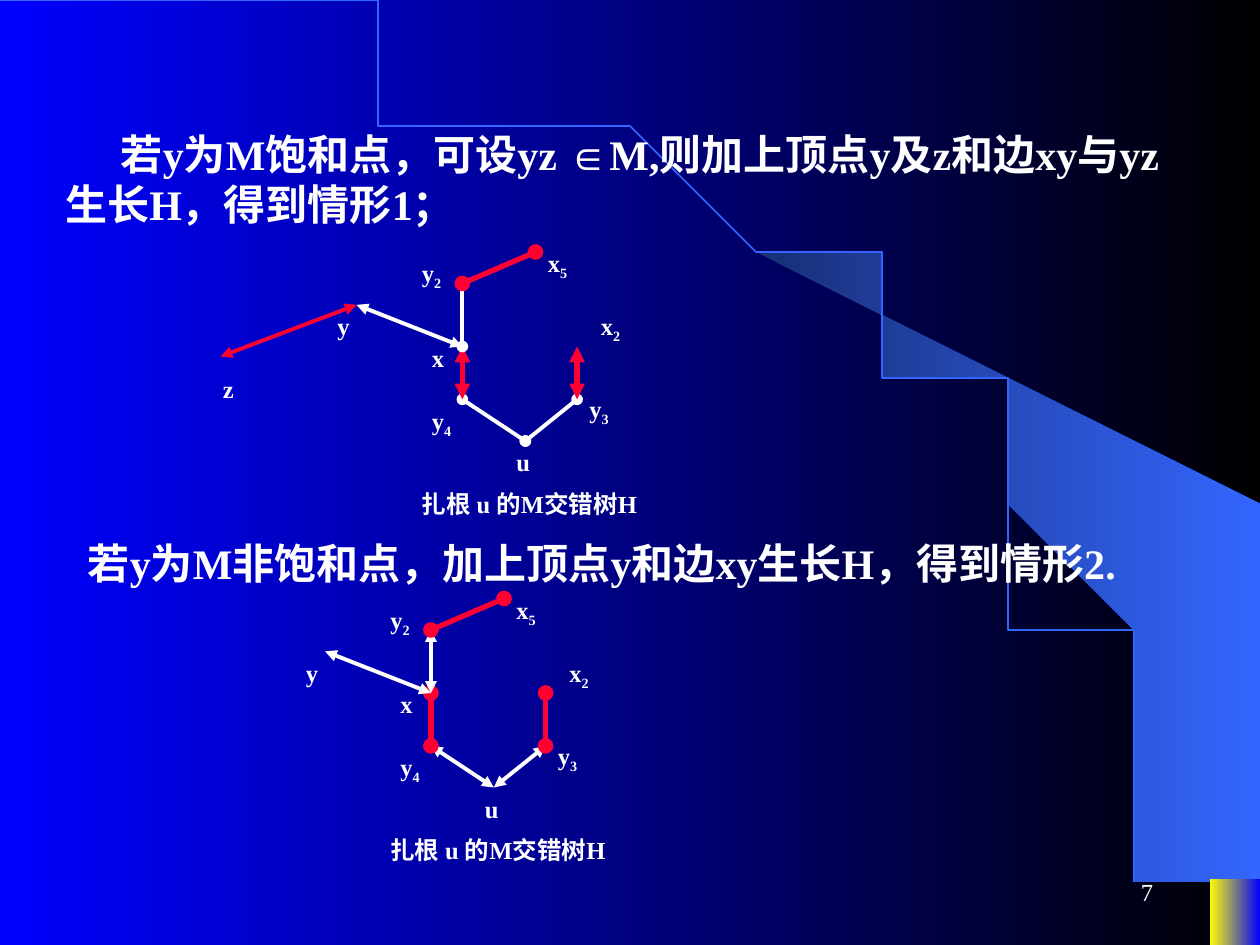
from pptx import Presentation
from pptx import util as u
from pptx.dml.color import RGBColor
from pptx.enum import shapes, text
from pptx.oxml import ns
from lxml import etree

WHITE = RGBColor(0xFF, 0xFF, 0xFF)
RED = RGBColor(0xFF, 0x00, 0x33)
BLUE = RGBColor(0x00, 0x00, 0xFF)
BLACK = RGBColor(0x00, 0x00, 0x00)
YELLOW = RGBColor(0xFF, 0xFF, 0x00)
NAVY = RGBColor(0x18, 0x2F, 0x76)
SKY = RGBColor(0x33, 0x66, 0xFF)
FONT = "Times New Roman"

STATEMENTS = [
    (0.42, 0.97, 0.44, "若y为M饱和点，可设yz ∈M,则加上顶点y及z和边xy与yz生长H，得到情形1；"),
    (0.25, 4.22, 0.35, "若y为M非饱和点，加上顶点y和边xy生长H，得到情形2."),
]
CAPTION = "扎根 u 的M交错树H"

VERTICES = {
    "u": (4.17, 3.5), "y4": (3.67, 3.17), "x": (3.67, 2.75), "y2": (3.67, 2.25),
    "y3": (4.58, 3.17), "x2": (4.58, 2.75), "x5": (4.25, 2), "y": (2.83, 2.42),
    "z": (1.75, 2.83),
}
LABELS = {
    "u": (4, 3.5), "y4": (3.33, 3.17), "x": (3.33, 2.67), "y2": (3.25, 2),
    "y3": (4.58, 3.08), "x2": (4.67, 2.42), "x5": (4.25, 1.92), "y": (2.58, 2.42),
    "z": (1.67, 2.92),
}
CAPTION_AT = (3.25, 3.83)
TREES = [
    {"offset": (0, 0), "hidden": "", "edges": [
        ("u", "y4", WHITE, 2.25, "oval"), ("y4", "x", RED, 3, "triangle"),
        ("x", "y2", WHITE, 2.25, "oval"), ("u", "y3", WHITE, 2.25, "oval"),
        ("y3", "x2", RED, 3, "triangle"), ("y2", "x5", RED, 3, "oval"),
        ("x", "y", WHITE, 2.25, "triangle"), ("y", "z", RED, 2.25, "triangle")]},
    {"offset": (-0.25, 2.75), "hidden": "z", "edges": [
        ("u", "y4", WHITE, 2.25, "triangle"), ("y4", "x", RED, 3, "oval"),
        ("x", "y2", WHITE, 2.25, "triangle"), ("u", "y3", WHITE, 2.25, "triangle"),
        ("y3", "x2", RED, 3, "oval"), ("y2", "x5", RED, 3, "oval"),
        ("x", "y", WHITE, 2.25, "triangle")]},
]

BEAM = [
    (9.2, 7.48), (9.99, 7.49), (9.99, 4.23), (5.89, 1.73), (6.24, 1.99), (6.53, 2.22),
    (6.85, 2.5), (7.16, 2.8), (7.62, 3.3), (8.03, 3.84), (8.32, 4.31), (8.58, 4.79),
    (8.78, 5.28), (8.93, 5.72), (9.03, 6.09), (9.13, 6.56), (9.17, 6.96),
]
ARC = [(0, 0), (5.08, 0), (9.2, 3.35), (9.2, 7.49)]
ARC_STEPS = 60


def set_gradient(fill, first, last):
    fill.gradient()
    fill.gradient_angle = 0
    for stop, color, position in zip(fill.gradient_stops, (first, last), (0, 1)):
        stop.color.rgb = color
        stop.position = position


def bezier(controls, t):
    weights = ((1 - t) ** 3, 3 * t * (1 - t) ** 2, 3 * t * t * (1 - t), t ** 3)
    return tuple(sum(w * c[axis] for w, c in zip(weights, controls)) for axis in (0, 1))


def add_outline(slide, points, close):
    builder = slide.shapes.build_freeform(*points[0], scale=u.Inches(1))
    builder.add_line_segments(points[1:], close=close)
    shape = builder.convert_to_shape()
    shape.shadow.inherit = False
    return shape


def add_text(slide, box, content, size, bold=True, subscript="", indent=0):
    shape = slide.shapes.add_textbox(*map(u.Inches, box))
    frame = shape.text_frame
    frame.word_wrap = True
    paragraph = frame.paragraphs[0]
    if indent:
        paragraph._p.get_or_add_pPr().set("indent", str(u.Inches(indent)))
    paragraph.add_run().text = content
    if subscript:
        run = paragraph.add_run()
        run.text = subscript
        run.font._element.set("baseline", "-25000")
    paragraph.font.name = FONT
    paragraph.font.size = u.Pt(size)
    paragraph.font.bold = bold
    paragraph.font.color.rgb = WHITE
    return shape


def add_edge(slide, start, end, color, width, ending):
    connector = slide.shapes.add_connector(
        shapes.MSO_CONNECTOR.STRAIGHT, *map(u.Inches, start + end))
    connector.line.color.rgb = color
    connector.line.width = u.Pt(width)
    properties = connector.element.spPr
    line = properties.find(ns.qn("a:ln"))
    for tag in ("a:headEnd", "a:tailEnd"):
        etree.SubElement(line, ns.qn(tag), type=ending)
    etree.SubElement(properties, ns.qn("a:effectLst"))


def add_tree(slide, tree):
    dx, dy = tree["offset"]

    def place(point):
        return point[0] + dx, point[1] + dy

    for start, end, color, width, ending in tree["edges"]:
        add_edge(slide, place(VERTICES[start]), place(VERTICES[end]), color, width, ending)
    for name, point in LABELS.items():
        if name != tree["hidden"]:
            add_text(slide, (*place(point), 0.43, 0.37), name[0], 14, subscript=name[1:])
    add_text(slide, (*place(CAPTION_AT), 2.25, 0.37), CAPTION, 14)


def add_backdrop(slide):
    set_gradient(slide.background.fill, BLUE, BLACK)
    beam = add_outline(slide, BEAM, True)
    set_gradient(beam.fill, NAVY, SKY)
    beam.line.fill.background()
    arc = add_outline(slide, [bezier(ARC, i / ARC_STEPS) for i in range(ARC_STEPS + 1)], False)
    arc.fill.background()
    arc.line.color.rgb = SKY
    arc.line.width = u.Pt(1)
    corner = slide.shapes.add_shape(
        shapes.MSO_SHAPE.RECTANGLE, *map(u.Inches, (9.6, 6.98, 0.4, 0.52)))
    corner.shadow.inherit = False
    set_gradient(corner.fill, YELLOW, BLUE)
    corner.line.fill.background()


def main():
    presentation = Presentation()
    presentation.slide_width = u.Inches(10)
    presentation.slide_height = u.Inches(7.5)
    slide = presentation.slides.add_slide(presentation.slide_layouts[6])
    add_backdrop(slide)
    number = add_text(slide, (7.17, 6.83, 2.08, 0.5), "7", 14, bold=False)
    number.text_frame.vertical_anchor = text.MSO_ANCHOR.MIDDLE
    number.text_frame.paragraphs[0].alignment = text.PP_ALIGN.RIGHT
    for (left, top, indent, content), tree in zip(STATEMENTS, TREES):
        add_text(slide, (left, top, 9.17, 0.92), content, 24, indent=indent)
        add_tree(slide, tree)
    presentation.save("out.pptx")


if __name__ == "__main__":
    main()
